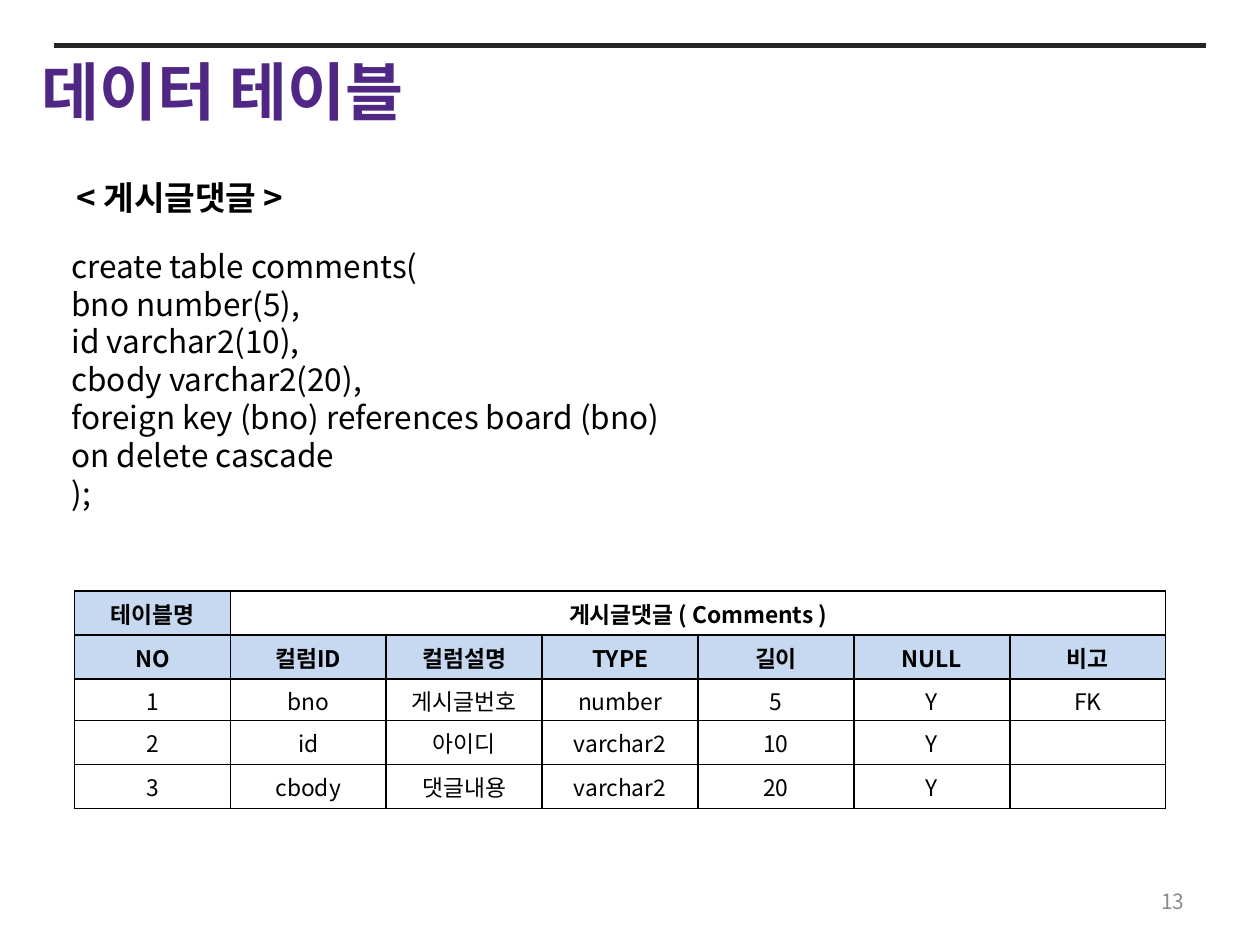
import pptx
import pptx.util
import pptx.dml.color
import pptx.enum.shapes
import pptx.enum.text
import pptx.oxml.ns
import lxml.etree

Pt = pptx.util.Pt
qn = pptx.oxml.ns.qn
Align = pptx.enum.text.PP_ALIGN
Anchor = pptx.enum.text.MSO_ANCHOR
RGB = pptx.dml.color.RGBColor.from_string

FACE = "Noto Sans CJK KR"
COLORS = {"title": "512786", "rule": "262626", "text": "000000",
          "head": "C6D9F1", "plain": "FFFFFF", "page": "8C8C8C"}


def write(frame, text, size, color="text", bold=False, align=Align.LEFT):
    frame.text = text
    for para in frame.paragraphs:
        para.alignment = align
        font = para.font
        font.name, font.size, font.bold = FACE, Pt(size), bold
        font.color.rgb = RGB(COLORS[color])
        # Hangul takes its face from the East Asian font
        latin = para._p.pPr.find(qn("a:defRPr")).find(qn("a:latin"))
        east = lxml.etree.Element(qn("a:ea"), typeface=FACE)
        latin.addnext(east)


def border(cell):
    props = cell._tc.get_or_add_tcPr()
    for spot, side in enumerate(("lnL", "lnR", "lnT", "lnB")):
        line = lxml.etree.Element(qn("a:" + side), w=str(Pt(1)))
        fill = lxml.etree.SubElement(line, qn("a:solidFill"))
        lxml.etree.SubElement(fill, qn("a:srgbClr"), val=COLORS["text"])
        props.insert(spot, line)


deck = pptx.Presentation()
deck.slide_width, deck.slide_height = Pt(720), Pt(540)
slide = deck.slides.add_slide(deck.slide_layouts[5])
shapes = slide.shapes

# Title
title = shapes.title
title.left, title.top, title.width, title.height = Pt(16.6), Pt(26.6), Pt(536), Pt(51)
frame = title.text_frame
frame.vertical_anchor = Anchor.TOP
frame.auto_size = pptx.enum.text.MSO_AUTO_SIZE.NONE
write(frame, "데이터 테이블", 36, "title", True)

# Rule above the title
rule = shapes.add_connector(pptx.enum.shapes.MSO_CONNECTOR.STRAIGHT,
                            Pt(31), Pt(26), Pt(689), Pt(26))
rule.line.color.rgb = RGB(COLORS["rule"])
rule.line.width = Pt(3)
lxml.etree.SubElement(rule._element.spPr, qn("a:effectLst"))

# Heading, code and page number
code = """create table comments(
bno number(5),
id varchar2(10),
cbody varchar2(20),
foreign key (bno) references board (bno) on delete cascade
);"""
texts = [
    ((36.7, 98, 176, 30), "< 게시글댓글 >", 19, "text", True, Align.LEFT),
    ((33.8, 137.5, 360, 160), code, 18, "text", False, Align.LEFT),
    ((516, 500.5, 168, 28.8), "13", 12, "page", False, Align.RIGHT),
]
for place, text, size, color, bold, align in texts:
    frame = shapes.add_textbox(*map(Pt, place)).text_frame
    frame.word_wrap = True
    if color == "page":
        frame.vertical_anchor = Anchor.MIDDLE
    write(frame, text, size, color, bold, align)

# Table of columns
rows = [
    ["테이블명", "게시글댓글 ( Comments )", "", "", "", "", ""],
    ["NO", "컬럼ID", "컬럼설명", "TYPE", "길이", "NULL", "비고"],
    ["1", "bno", "게시글번호", "number", "5", "Y", "FK"],
    ["2", "id", "아이디", "varchar2", "10", "Y", ""],
    ["3", "cbody", "댓글내용", "varchar2", "20", "Y", ""],
]
heights = [25.2, 25.2, 23.5, 25.2, 25.2]
table = shapes.add_table(5, 7, Pt(42.5), Pt(337.7), Pt(623.7), Pt(sum(heights))).table
for col in table.columns:
    col.width = Pt(89.1)
for r, (row, height) in enumerate(zip(rows, heights)):
    table.rows[r].height = Pt(height)
    for c, text in enumerate(row):
        cell = table.cell(r, c)
        cell.vertical_anchor = Anchor.MIDDLE
        cell.margin_left = cell.margin_right = cell.margin_top = Pt(0.72)
        cell.margin_bottom = 0
        if r == 1 or (r, c) == (0, 0):
            cell.fill.solid()
            cell.fill.fore_color.rgb = RGB(COLORS["head"])
        elif r == 0:
            cell.fill.solid()
            cell.fill.fore_color.rgb = RGB(COLORS["plain"])
        else:
            cell.fill.background()
        border(cell)
        write(cell.text_frame, text, 13, bold=r < 2, align=Align.CENTER)
table.cell(0, 1).merge(table.cell(0, 6))

deck.save("out.pptx")
